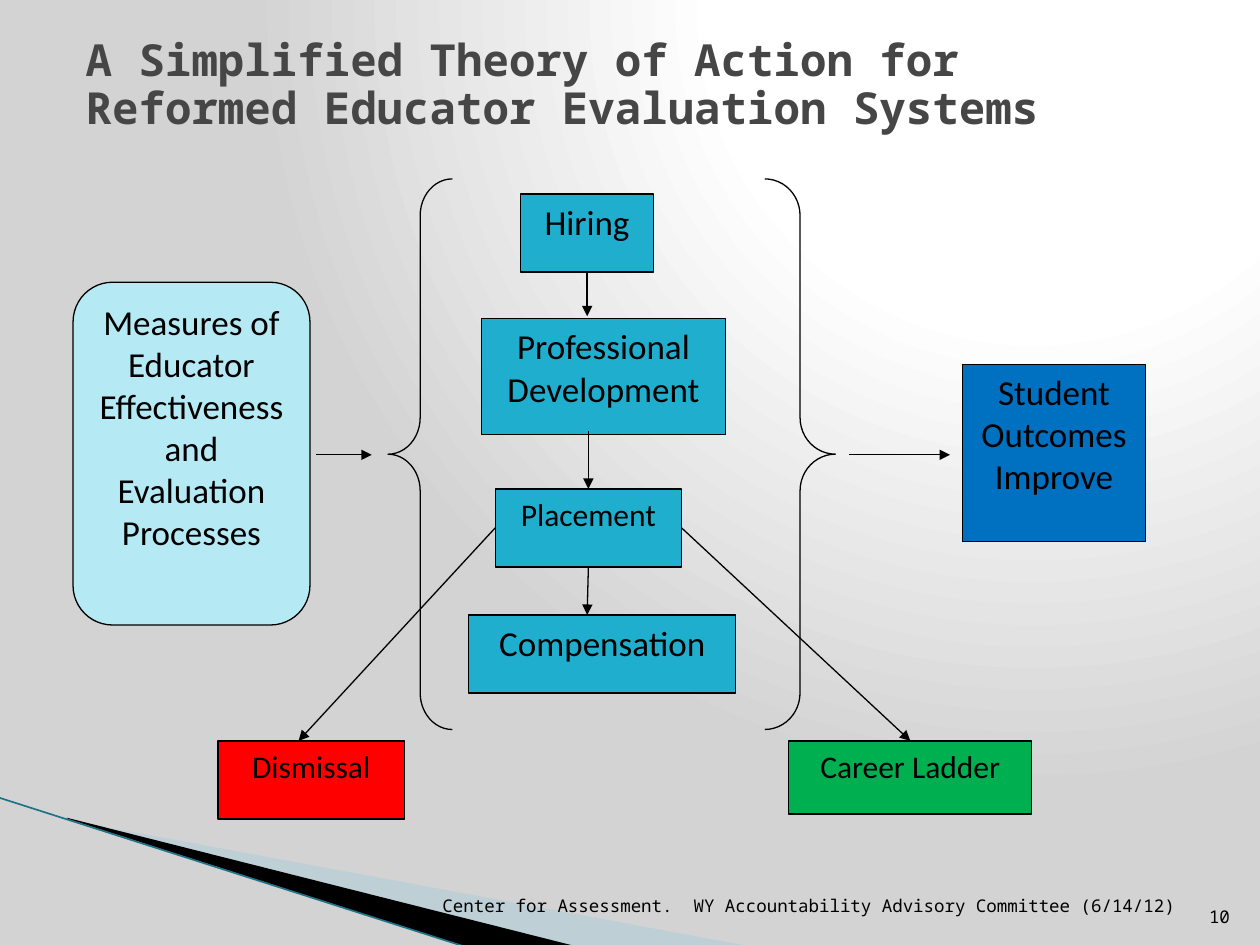
from dataclasses import dataclass
from typing import Optional

import pptx
import pptx.dml.color
import pptx.enum.shapes
import pptx.enum.text
import pptx.oxml
import pptx.oxml.ns
import pptx.util
from lxml import etree
from pptx.dml.color import RGBColor
from pptx.enum.shapes import MSO_SHAPE
from pptx.enum.text import MSO_ANCHOR, PP_ALIGN
from pptx.util import Inches

BLACK = RGBColor(0x00, 0x00, 0x00)
TITLE_GRAY = RGBColor(0x46, 0x46, 0x46)
PALE_CYAN = RGBColor(0xB5, 0xE9, 0xF4)
CYAN = RGBColor(0x1F, 0xAE, 0xCD)
RED = RGBColor(0xFF, 0x00, 0x00)
GREEN = RGBColor(0x00, 0xB0, 0x50)
BLUE = RGBColor(0x00, 0x70, 0xC0)
PALE_BLUE = RGBColor(0xA0, 0xCB, 0xDC)
TEAL = RGBColor(0x1F, 0x73, 0x89)

BODY_FONT = "Calibri"
MONO_FONT = "Noto Sans Mono"
TOP, LEFT, BOTTOM, RIGHT = range(4)

BACKGROUND = f"""
<p:bg {pptx.oxml.ns.nsdecls("p", "a")}><p:bgPr>
  <a:gradFill rotWithShape="1">
    <a:gsLst>
      <a:gs pos="0"><a:srgbClr val="FFFFFF"/></a:gs>
      <a:gs pos="40000"><a:srgbClr val="FFFFFF"/></a:gs>
      <a:gs pos="100000"><a:srgbClr val="D3D3D3"/></a:gs>
    </a:gsLst>
    <a:path path="circle"><a:fillToRect l="65000" t="0" r="0" b="98000"/></a:path>
  </a:gradFill>
  <a:effectLst/>
</p:bgPr></p:bg>"""


@dataclass
class Step:
    text: str
    left: float
    top: float
    width: float
    height: float
    color: RGBColor
    size: int = 20
    kind: MSO_SHAPE = MSO_SHAPE.RECTANGLE


@dataclass
class Arrow:
    start: tuple[float, float]
    end: tuple[float, float]
    source: Optional[tuple[str, int]] = None
    target: Optional[tuple[str, int]] = None


@dataclass
class Brace:
    kind: MSO_SHAPE
    left: float
    width: float
    curve: float


@dataclass
class Wedge:
    points: list[tuple[float, float]]
    color: RGBColor
    opacity: int = 100


@dataclass
class Note:
    text: str
    left: float
    top: float
    width: float


WEDGES = [
    Wedge([(0.55, 6.51), (5.95, 7.51), (4.56, 7.51), (0.55, 6.5)], PALE_BLUE, 40),
    Wedge([(0.53, 6.49), (4.57, 7.51), (3.72, 7.52), (0.54, 6.5)], BLACK),
]
STEPS = [
    Step("Measures of Educator Effectiveness and Evaluation Processes",
         0.58, 2.24, 1.88, 2.72, PALE_CYAN, kind=MSO_SHAPE.ROUNDED_RECTANGLE),
    Step("Hiring", 4.13, 1.54, 1.06, 0.62, CYAN),
    Step("Professional Development", 3.82, 2.53, 1.94, 0.92, CYAN),
    Step("Placement", 3.93, 3.88, 1.48, 0.62, CYAN, 18),
    Step("Compensation", 3.72, 4.88, 2.12, 0.62, CYAN),
    Step("Dismissal", 1.73, 5.88, 1.48, 0.62, RED, 18),
    Step("Career Ladder", 6.26, 5.88, 1.93, 0.58, GREEN, 18),
    Step("Student Outcomes Improve", 7.64, 2.89, 1.45, 1.41, BLUE),
]
BRACES = [
    Brace(MSO_SHAPE.LEFT_BRACE, 3.08, 0.51, 0.57),
    Brace(MSO_SHAPE.RIGHT_BRACE, 6.07, 0.56, 0.52),
]
ARROWS = [
    Arrow((2.51, 3.61), (2.95, 3.61)),
    Arrow((6.74, 3.61), (7.54, 3.61)),
    Arrow((4.66, 2.16), (4.66, 2.51), source=("Hiring", BOTTOM)),
    Arrow((4.67, 3.42), (4.67, 3.88), target=("Placement", TOP)),
    Arrow((4.66, 4.5), (4.66, 4.88), source=("Placement", BOTTOM)),
    Arrow((3.93, 4.19), (2.37, 5.88), source=("Placement", LEFT)),
    Arrow((5.41, 4.19), (7.23, 5.88), ("Placement", RIGHT), ("Career Ladder", TOP)),
]
NOTES = [
    Note("Center for Assessment.  WY Accountability Advisory Committee (6/14/12)",
         2.92, 6.92, 6.5),
    Note("10", 9.46, 7.01, 0.4),
]


def style_font(para, name: str, size: float, color: RGBColor, bold: bool = False) -> None:
    para.font.name = name
    para.font.size = pptx.util.Pt(size)
    para.font.color.rgb = color
    para.font.bold = bold


def add_line(page, start: tuple[float, float], end: tuple[float, float],
             color: RGBColor = BLACK, width: float = 0.75):
    line = page.shapes.add_connector(
        pptx.enum.shapes.MSO_CONNECTOR.STRAIGHT, *map(Inches, start + end))
    line.line.color.rgb = color
    line.line.width = pptx.util.Pt(width)
    etree.SubElement(line.element.spPr, pptx.oxml.ns.qn("a:effectLst"))
    return line


def add_arrow(page, arrow: Arrow, boxes: dict) -> None:
    line = add_line(page, arrow.start, arrow.end)
    if arrow.source:
        line.begin_connect(boxes[arrow.source[0]], arrow.source[1])
    if arrow.target:
        line.end_connect(boxes[arrow.target[0]], arrow.target[1])
    outline = line.element.spPr.find(pptx.oxml.ns.qn("a:ln"))
    etree.SubElement(outline, pptx.oxml.ns.qn("a:tailEnd"), type="triangle")


def add_wedge(page, wedge: Wedge) -> None:
    points = [(Inches(x), Inches(y)) for x, y in wedge.points]
    builder = page.shapes.build_freeform(*points[0])
    builder.add_line_segments(points[1:], close=True)
    shape = builder.convert_to_shape()
    shape.shadow.inherit = False
    shape.fill.solid()
    shape.fill.fore_color.rgb = wedge.color
    shape.line.fill.background()
    if wedge.opacity < 100:
        color = shape.element.spPr.find(".//" + pptx.oxml.ns.qn("a:srgbClr"))
        etree.SubElement(color, pptx.oxml.ns.qn("a:alpha"), val=str(wedge.opacity * 1000))


def add_outlined(page, kind: MSO_SHAPE, left: float, top: float, width: float, height: float):
    shape = page.shapes.add_shape(kind, *map(Inches, (left, top, width, height)))
    shape.shadow.inherit = False
    shape.line.color.rgb = BLACK
    shape.line.width = pptx.util.Pt(0.75)
    return shape


def add_step(page, step: Step):
    box = add_outlined(page, step.kind, step.left, step.top, step.width, step.height)
    box.fill.solid()
    box.fill.fore_color.rgb = step.color
    box.text_frame.vertical_anchor = MSO_ANCHOR.TOP
    para = box.text_frame.paragraphs[0]
    para.text = step.text
    para.alignment = PP_ALIGN.CENTER
    para.space_after = pptx.util.Pt(10)
    style_font(para, BODY_FONT, step.size, BLACK)
    return box


def add_brace(page, brace: Brace) -> None:
    shape = add_outlined(page, brace.kind, brace.left, 1.42, brace.width, 4.37)
    shape.adjustments[0] = brace.curve
    shape.fill.background()


def add_note(page, note: Note) -> None:
    box = page.shapes.add_textbox(*map(Inches, (note.left, note.top, note.width, 0.4)))
    box.text_frame.word_wrap = True
    box.text_frame.vertical_anchor = MSO_ANCHOR.BOTTOM
    para = box.text_frame.paragraphs[0]
    para.text = note.text
    para.alignment = PP_ALIGN.RIGHT
    style_font(para, MONO_FONT, 10, BLACK)


def set_title(page, text: str) -> None:
    title = page.shapes.title
    title.left, title.top, title.width, title.height = map(Inches, (0.58, 0.25, 9, 0.87))
    frame = title.text_frame
    frame.auto_size = pptx.enum.text.MSO_AUTO_SIZE.NONE
    frame.vertical_anchor = MSO_ANCHOR.MIDDLE
    para = frame.paragraphs[0]
    para.text = text
    para.alignment = PP_ALIGN.LEFT
    para.line_spacing = 0.9
    style_font(para, MONO_FONT, 25.2, TITLE_GRAY, bold=True)


def main() -> None:
    deck = pptx.Presentation()
    deck.slide_width, deck.slide_height = Inches(10), Inches(7.5)
    page = deck.slides.add_slide(deck.slide_layouts[5])
    page.element.cSld.insert(0, pptx.oxml.parse_xml(BACKGROUND))
    set_title(page, "A Simplified Theory of Action for Reformed Educator Evaluation Systems")
    for wedge in WEDGES:
        add_wedge(page, wedge)
    add_line(page, (-0.01, 6.33), (3.71, 7.52), TEAL, 0.95)
    boxes = {step.text: add_step(page, step) for step in STEPS}
    for brace in BRACES:
        add_brace(page, brace)
    for arrow in ARROWS:
        add_arrow(page, arrow, boxes)
    for note in NOTES:
        add_note(page, note)
    deck.save("out.pptx")


if __name__ == "__main__":
    main()
